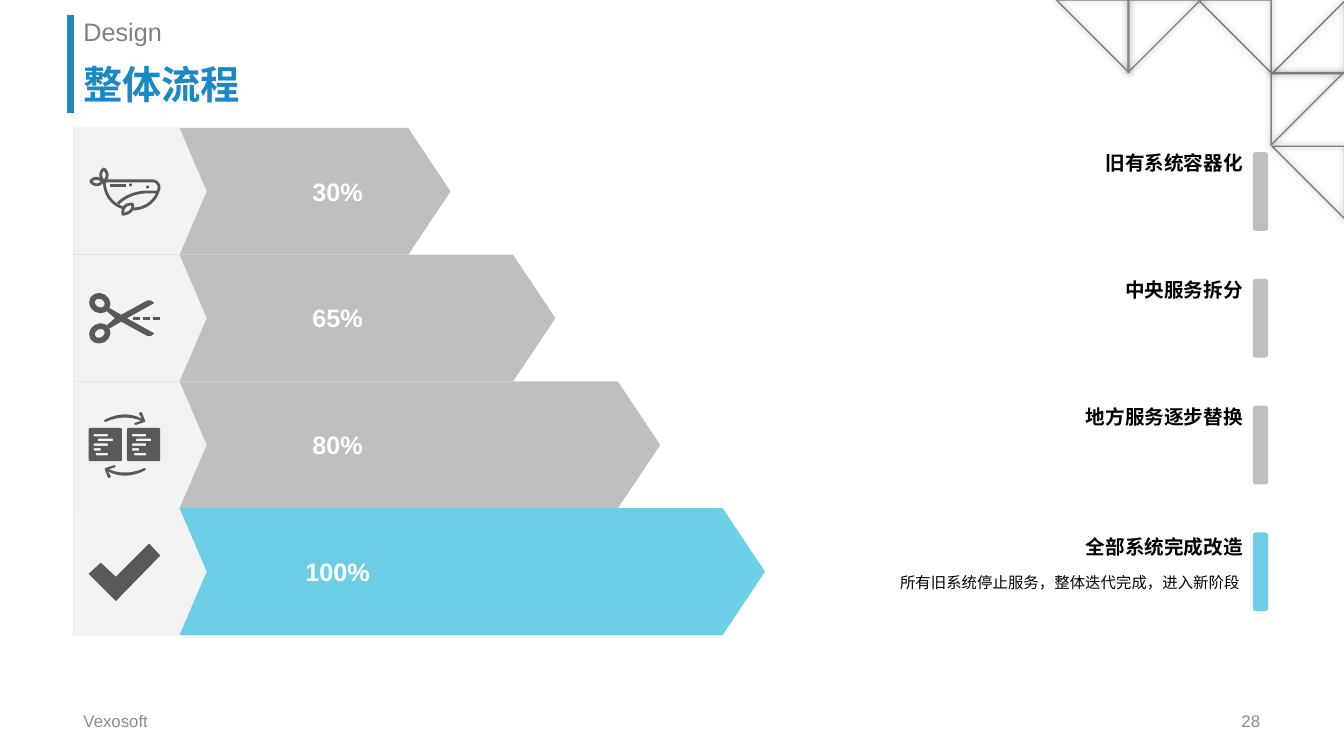
from lxml import etree
from pptx import Presentation
from pptx.dml.color import RGBColor
from pptx.enum.shapes import MSO_CONNECTOR, MSO_SHAPE
from pptx.enum.text import MSO_ANCHOR as ANCHOR, PP_ALIGN as ALIGN
from pptx.oxml import parse_xml
from pptx.oxml.ns import qn
from pptx.util import Inches, Pt

COLORS = {"title": "1988C5", "gray": "808080", "footer": "8C8C8C", "bar": "BFBFBF",
          "accent": "6CCEE5", "panel": "F2F2F2", "icon": "595959",
          "white": "FFFFFF", "black": "000000"}
GLOW = ('<a:effectLst xmlns:a="http://schemas.openxmlformats.org/drawingml/2006/main">'
        '<a:outerShdw blurRad="63500" dist="0" dir="0" algn="ctr" rotWithShape="0">'
        '<a:srgbClr val="000000"><a:alpha val="40000"/></a:srgbClr>'
        '</a:outerShdw></a:effectLst>')


def rgb(name):
    return RGBColor.from_string(COLORS[name])


def paint(shape, fill=None, line=None, width=1):
    shape.shadow.inherit = False
    if fill:
        shape.fill.solid()
        shape.fill.fore_color.rgb = rgb(fill)
    else:
        shape.fill.background()
    if line:
        shape.line.color.rgb = rgb(line)
        shape.line.width = Pt(width)
    else:
        shape.line.fill.background()
    return shape


def add_box(slide, preset, left, top, width, height, fill=None, line=None, weight=1):
    shape = slide.shapes.add_shape(preset, Inches(left), Inches(top), Inches(width), Inches(height))
    return paint(shape, fill, line, weight)


def add_line(slide, start, end, color, width):
    line = slide.shapes.add_connector(MSO_CONNECTOR.STRAIGHT, *map(Inches, start + end))
    line.line.color.rgb = rgb(color)
    line.line.width = Pt(width)
    etree.SubElement(line._element.spPr, qn("a:effectLst"))


def add_text(slide, text, left, top, width, height, size, color, bold=False,
             align=ALIGN.LEFT, anchor=ANCHOR.MIDDLE, spacing=1.0):
    box = slide.shapes.add_textbox(Inches(left), Inches(top), Inches(width), Inches(height))
    frame = box.text_frame
    frame.word_wrap = True
    frame.vertical_anchor = anchor
    frame.text = text
    paragraph = frame.paragraphs[0]
    paragraph.alignment = align
    paragraph.line_spacing = spacing
    font = paragraph.runs[0].font
    font.name, font.size, font.bold = "Arial", Pt(size), bold
    font.color.rgb = rgb(color)


def flatten(outline):
    points = [outline[0]]
    for segment in outline[1:]:
        if len(segment) == 2:
            points.append(segment)
            continue
        nodes = [points[-1], segment[:2], segment[2:4], segment[4:]]
        for step in range(1, 13):
            t = step / 12
            weights = ((1 - t) ** 3, 3 * t * (1 - t) ** 2, 3 * t * t * (1 - t), t ** 3)
            points.append(tuple(sum(w * node[axis] for w, node in zip(weights, nodes))
                                for axis in (0, 1)))
    return points


def add_outline(slide, left, top, *outlines, closed=False, fill=None):
    builder = None
    for outline in outlines:
        points = [(Inches(left + x / 100), Inches(top + y / 100)) for x, y in flatten(outline)]
        if builder is None:
            builder = slide.shapes.build_freeform(*points[0])
        else:
            builder.move_to(*points[0])
        builder.add_line_segments(points[1:], close=closed)
    return paint(builder.convert_to_shape(), fill, None if fill else "icon", 2)


def turn(outline, width, height):
    return [tuple((height if i % 2 else width) - v for i, v in enumerate(segment))
            for segment in outline]


def rounded(x, y, width, height, r):
    right, bottom = x + width, y + height
    return [(x + r, y), (right - r, y), (right, y, right, y, right, y + r),
            (right, bottom - r), (right, bottom, right, bottom, right - r, bottom),
            (x + r, bottom), (x, bottom, x, bottom, x, bottom - r),
            (x, y + r), (x, y, x, y, x + r, y)]


def draw_whale(slide, left, top):
    body = [(15.5, 14.5), (64, 14.5), (68, 15, 71, 19, 69.5, 23),
            (66, 36, 55, 42.5, 43, 42.5), (28, 42.5, 15.5, 32, 15.5, 14.5)]
    side_fluke = [(14, 15), (10, 20, 5, 19, 2, 15), (5, 11, 10, 11, 14, 15)]
    top_fluke = [(15, 2.5), (11, 6, 11, 11, 15, 15), (20, 11, 19, 6, 15, 2.5)]
    fin = [(34, 47.5), (33, 41, 37, 37, 43.5, 37.5), (45, 43, 40, 47, 34, 47.5)]
    belly = [(29, 37), (39, 27, 52, 25.5, 58, 25.5), (68, 25.5)]
    add_outline(slide, left, top, body, side_fluke, top_fluke, closed=True)
    add_outline(slide, left, top, belly)
    paint(add_outline(slide, left, top, fin, closed=True), "panel", "icon", 2)
    add_line(slide, (left + 0.21, top + 0.19), (left + 0.37, top + 0.19), "icon", 2)
    for x, y in ((0.4, 0.17), (0.57, 0.19)):
        add_box(slide, MSO_SHAPE.OVAL, left + x, top + y, 0.03, 0.03, "icon")


def draw_scissors(slide, left, top):
    blade = [(18, 32), (26, 25), (57, 8), (61, 6, 63, 8, 65, 10), (38, 25), (21, 35)]
    mirrored = [tuple(50 - v if i % 2 else v for i, v in enumerate(segment))
                for segment in blade]
    for outline in (blade, mirrored):
        add_outline(slide, left, top, outline, closed=True, fill="icon")
    for y, angle in ((0.03, 30), (0.33, -30)):
        ring = add_box(slide, MSO_SHAPE.OVAL, left + 0.03, top + y, 0.16, 0.14,
                       line="icon", weight=4)
        ring.rotation = angle
    for dash in range(3):
        x = left + 0.44 + 0.1 * dash
        add_line(slide, (x, top + 0.25), (x + 0.07, top + 0.25), "icon", 2)


def draw_swap(slide, left, top):
    code_lines = ((5, 14), (9, 15), (5, 14), (5, 7), (7, 12))
    arrow = [(16, 8), (29, 1, 42, 1, 53, 7), (50, 2), (51, 0, 52, 0, 53, 1), (56, 9),
             (56, 10), (47, 13), (45, 13, 45, 11, 46, 11), (52, 9),
             (42, 4.5, 29, 4.5, 17, 10), (15, 10, 15, 9, 16, 8)]
    outlines = [arrow, turn(arrow, 72, 66)]
    for x in (0, 38):
        outlines.append(rounded(x, 16, 33, 33, 4))
        outlines += [rounded(x + indent, 22 + 4.7 * row, length, 2.4, 1.2)
                     for row, (indent, length) in enumerate(code_lines)]
    add_outline(slide, left, top, *outlines, closed=True, fill="icon")


def draw_check(slide, left, top):
    tick = [(60, 0), (27, 33), (12, 19), (0, 30), (27, 57), (71, 12)]
    add_outline(slide, left, top, tick, closed=True, fill="icon")


def draw_corner(slide, left, top, side):
    triangles = ((2.14, 0.01, 180), (1.41, 0, 90), (0.71, 0, 0),
                 (0, 0, 90), (2.14, 1.45, 90), (2.13, 0.72, 0))
    for x, y, angle in triangles:
        triangle = add_box(slide, MSO_SHAPE.RIGHT_TRIANGLE, left + x, top + y, side, side,
                           line="gray")
        triangle.rotation = angle
        properties = triangle._element.spPr
        properties.find(qn("a:xfrm")).set("flipV", "1")
        properties.replace(properties.find(qn("a:effectLst")), parse_xml(GLOW))


def draw_header(slide, left, top, width):
    add_line(slide, (left - 0.03, top), (left - 0.03, top + 0.97), "title", 5)
    add_text(slide, "整体流程", left, top + 0.38, width, 0.59, 28, "title", True,
             anchor=ANCHOR.BOTTOM, spacing=0.9)
    add_text(slide, "Design", left, top, width, 0.39, 18, "gray",
             anchor=ANCHOR.TOP, spacing=0.9)


def draw_footer(slide, left, top, width):
    add_text(slide, "Vexosoft", left, top, 3.18, 0.4, 12, "footer")
    add_text(slide, "28", left + width - 3.18, top, 3.18, 0.4, 12, "footer", align=ALIGN.RIGHT)


def draw_step(slide, left, top, height, bar_width, percent, color, draw_icon, icon_drop):
    for width, tip, fill in ((bar_width, 0.42, color), (1.32, 0.27, "panel")):
        arrow = add_box(slide, MSO_SHAPE.PENTAGON, left, top, width, height, fill)
        arrow.adjustments[0] = tip / min(width, height)
    draw_icon(slide, left + 0.15, top + icon_drop)
    add_text(slide, percent, left + 2.09, top + 0.27, 1.06, 0.71, 18, "white", True,
             align=ALIGN.CENTER)


def draw_label(slide, left, top, heading, drop, detail, color):
    add_box(slide, MSO_SHAPE.ROUNDED_RECTANGLE, left + 4.62, top + 0.24, 0.15, 0.78, color)
    add_text(slide, heading, left, top + drop, 4.62, 0.35, 14, "black", True, align=ALIGN.RIGHT)
    if detail:
        add_text(slide, detail, left - 0.03, top + 0.56, 4.62, 0.63, 11, "black",
                 align=ALIGN.RIGHT, anchor=ANCHOR.TOP, spacing=1.2)


def draw_process(slide, left, top, height):
    steps = (
        ("30%", "旧有系统容器化", "", "bar", draw_whale, 0.38, 0.17),
        ("65%", "中央服务拆分", "", "bar", draw_scissors, 0.38, 0.17),
        ("80%", "地方服务逐步替换", "", "bar", draw_swap, 0.3, 0.17),
        ("100%", "全部系统完成改造", "所有旧系统停止服务，整体迭代完成，进入新阶段",
         "accent", draw_check, 0.35, 0.21))
    pitch = height / len(steps)
    for row, (percent, heading, detail, color, draw_icon, icon_drop, drop) in enumerate(steps):
        y = top + pitch * row
        draw_step(slide, left, y, pitch, 3.74 + 1.04 * row, percent, color, draw_icon, icon_drop)
        draw_label(slide, left + 7.08, y, heading, drop, detail, color)


def main():
    presentation = Presentation()
    presentation.slide_width = Inches(40 / 3)
    presentation.slide_height = Inches(7.5)
    slide = presentation.slides.add_slide(presentation.slide_layouts[6])
    draw_corner(slide, 10.48, 0, 0.72)
    draw_header(slide, 0.73, 0.15, 11.87)
    draw_footer(slide, 0.73, 6.95, 11.87)
    draw_process(slide, 0.73, 1.27, 5.03)
    presentation.save("out.pptx")


if __name__ == "__main__":
    main()
